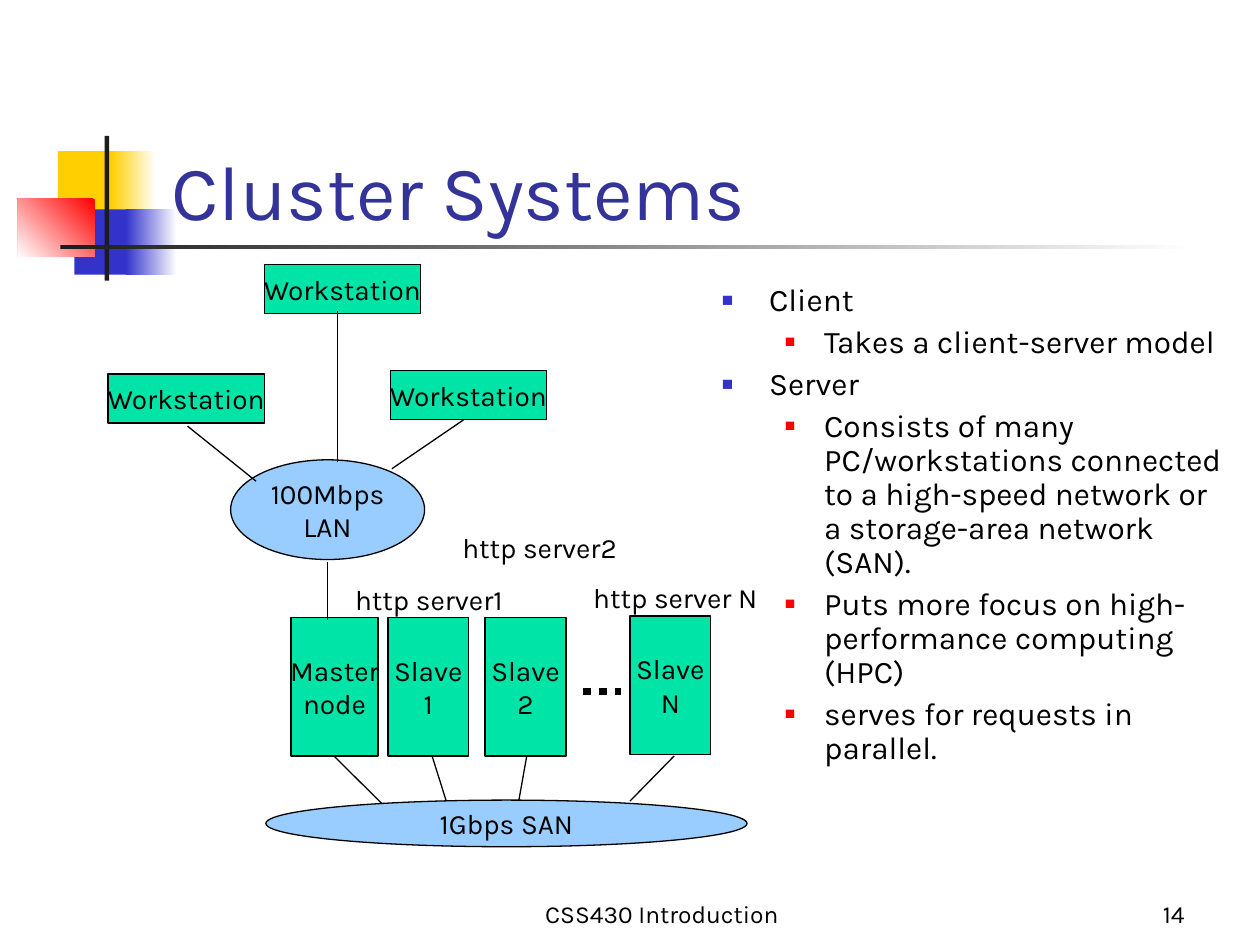
from dataclasses import dataclass
from typing import NamedTuple, Optional

from lxml import etree
from pptx import Presentation
from pptx.dml.color import RGBColor
from pptx.enum import dml, shapes, text
from pptx.oxml import ns
from pptx.util import Cm, Pt


@dataclass(frozen=True)
class Theme:
    font: str = "Karla"
    ink: str = "000000"
    white: str = "FFFFFF"
    title: str = "333399"
    yellow: str = "FFCF01"
    blue: str = "3333CC"
    red: str = "FF0000"
    bar: str = "1C1C1C"
    machine: str = "00E4A8"
    network: str = "99CCFF"
    title_size: float = 44
    body_size: float = 18
    label_size: float = 16
    footer_size: float = 14
    line_width: float = 0.75
    dot_width: float = 4.5


THEME = Theme()


class Area(NamedTuple):
    left: float
    top: float
    width: float
    height: float


class Ornament(NamedTuple):
    area: Area
    start: str
    end: Optional[str] = None
    angle: float = 0


class Node(NamedTuple):
    area: Area
    words: str
    color: str = THEME.machine
    kind: shapes.MSO_SHAPE = shapes.MSO_SHAPE.RECTANGLE


class Link(NamedTuple):
    x1: float
    y1: float
    x2: float
    y2: float


class Label(NamedTuple):
    area: Area
    words: str
    align: text.PP_ALIGN = text.PP_ALIGN.LEFT
    footer: bool = False


class Level(NamedTuple):
    indent: float
    hanging: float
    color: str
    percent: int


ORNAMENTS = [
    Ornament(Area(1.17, 3.05, 1.22, 1.32), THEME.yellow),
    Ornament(Area(2.24, 3.05, 0.91, 1.32), THEME.yellow, THEME.white),
    Ornament(Area(1.5, 4.22, 1.17, 1.32), THEME.blue),
    Ornament(Area(2.54, 4.22, 1.02, 1.32), THEME.blue, THEME.white),
    Ornament(Area(0.36, 4.01, 1.55, 1.17), THEME.red, THEME.white, 225),
    Ornament(Area(2.11, 2.74, 0.09, 2.92), THEME.bar),
    Ornament(Area(1.22, 4.94, 22.86, 0.09), THEME.bar, THEME.white),
]

NODE_TOP, NODE_HEIGHT = 12.45, 2.79
NODE_BOTTOM = NODE_TOP + NODE_HEIGHT
SLAVES = [("1", 7.82, NODE_TOP), ("2", 9.78, NODE_TOP), ("N", 12.7, 12.42)]
WORKSTATIONS = [(5.33, 5.33), (2.18, 7.54), (7.87, 7.47)]
OVAL = shapes.MSO_SHAPE.OVAL

NODES = [
    Node(Area(4.65, 9.27, 3.91, 2.01), "100Mbps\nLAN", THEME.network, OVAL),
    Node(Area(5.36, 16.13, 9.7, 0.94), "1Gbps SAN", THEME.network, OVAL),
    *[Node(Area(x, y, 3.15, 0.99), "Workstation") for x, y in WORKSTATIONS],
    Node(Area(5.87, NODE_TOP, 1.75, NODE_HEIGHT), "Master\nnode"),
    *[Node(Area(x, y, 1.63, NODE_HEIGHT), f"Slave\n{name}") for name, x, y in SLAVES],
]

LINKS = [
    Link(6.81, 6.27, 6.81, 9.32),
    Link(3.78, 8.59, 5.16, 9.7),
    Link(9.35, 8.46, 7.9, 9.45),
    Link(6.6, 11.33, 6.6, 12.5),
    Link(6.73, NODE_BOTTOM, 7.7, 16.2),
    Link(8.71, NODE_BOTTOM, 8.99, 16.13),
    Link(10.62, NODE_BOTTOM, 10.46, 16.13),
    Link(13.59, NODE_BOTTOM, 12.7, 16.15),
]
ELLIPSIS = Link(11.76, 13.94, 12.52, 13.94)

LABELS = [
    Label(Area(6.91, 11.61, 3.73, 0.94), "http server1"),
    Label(Area(9.07, 10.57, 3.73, 0.94), "http server2"),
    Label(Area(11.71, 11.58, 3.99, 0.94), "http server N"),
    Label(Area(9.32, 17.58, 8.05, 1.27), "CSS430 Introduction", text.PP_ALIGN.CENTER, True),
    Label(Area(18.85, 17.58, 5.28, 1.27), "14", text.PP_ALIGN.RIGHT, True),
]

LEVELS = [Level(0.95, 0.95, THEME.blue, 60), Level(2.06, 0.79, THEME.red, 55)]
POINTS = [
    (0, "Client"),
    (1, "Takes a client-server model"),
    (0, "Server"),
    (1, "Consists of many PC/workstations connected to a high-speed network "
        "or a storage-area network (SAN)."),
    (1, "Puts more focus on high-performance computing (HPC)"),
    (1, "serves for requests in parallel."),
]


def rgb(color: str) -> RGBColor:
    return RGBColor.from_string(color)


def lengths(area: Area) -> list:
    return [Cm(value) for value in area]


def place(box, area: Area) -> None:
    box.left, box.top, box.width, box.height = lengths(area)
    box.element.getparent().append(box.element)


def style(para, size: float, align: text.PP_ALIGN, color: str = THEME.ink) -> None:
    para.alignment = align
    para.font.name = THEME.font
    para.font.size = Pt(size)
    para.font.color.rgb = rgb(color)


def draw_ornament(page, ornament: Ornament) -> None:
    box = page.shapes.add_shape(shapes.MSO_SHAPE.RECTANGLE, *lengths(ornament.area))
    box.shadow.inherit = False
    box.line.fill.background()
    if ornament.end is None:
        box.fill.solid()
        box.fill.fore_color.rgb = rgb(ornament.start)
        return
    box.fill.gradient()
    box.fill.gradient_angle = ornament.angle
    for stop, color in zip(box.fill.gradient_stops, (ornament.start, ornament.end)):
        stop.color.rgb = rgb(color)
    box.fill.gradient_stops[0].position = 0
    box.fill.gradient_stops[1].position = 1


def draw_node(page, node: Node) -> None:
    box = page.shapes.add_shape(node.kind, *lengths(node.area))
    box.shadow.inherit = False
    box.fill.solid()
    box.fill.fore_color.rgb = rgb(node.color)
    box.line.color.rgb = rgb(THEME.ink)
    box.line.width = Pt(THEME.line_width)
    frame = box.text_frame
    frame.text = node.words
    frame.word_wrap = False
    frame.vertical_anchor = text.MSO_ANCHOR.MIDDLE
    for para in frame.paragraphs:
        style(para, THEME.label_size, text.PP_ALIGN.CENTER)


def draw_link(page, link: Link, width: float = THEME.line_width):
    line = page.shapes.add_connector(
        shapes.MSO_CONNECTOR.STRAIGHT, *[Cm(value) for value in link])
    line.line.color.rgb = rgb(THEME.ink)
    line.line.width = Pt(width)
    etree.SubElement(line.element.spPr, ns.qn("a:effectLst"))
    return line


def draw_label(page, label: Label) -> None:
    frame = page.shapes.add_textbox(*lengths(label.area)).text_frame
    frame.text = label.words
    frame.word_wrap = label.footer
    if label.footer:
        frame.vertical_anchor = text.MSO_ANCHOR.BOTTOM
    else:
        frame.auto_size = text.MSO_AUTO_SIZE.SHAPE_TO_FIT_TEXT
    size = THEME.footer_size if label.footer else THEME.label_size
    style(frame.paragraphs[0], size, label.align)


def add_bullet(para, level: Level) -> None:
    props = para._p.get_or_add_pPr()
    props.set("marL", str(Cm(level.indent)))
    props.set("indent", str(-Cm(level.hanging)))
    color = etree.SubElement(props, ns.qn("a:buClr"))
    etree.SubElement(color, ns.qn("a:srgbClr"), val=level.color)
    etree.SubElement(props, ns.qn("a:buSzPct"), val=str(level.percent * 1000))
    etree.SubElement(props, ns.qn("a:buChar"), char="■")


def fill_title(title) -> None:
    place(title, Area(3.2, 1.7, 21.64, 3.18))
    frame = title.text_frame
    frame.text = "Cluster Systems"
    frame.auto_size = text.MSO_AUTO_SIZE.NONE
    frame.vertical_anchor = text.MSO_ANCHOR.BOTTOM
    style(frame.paragraphs[0], THEME.title_size, text.PP_ALIGN.LEFT, THEME.title)


def fill_body(body) -> None:
    place(body, Area(14.3, 5.61, 10.59, 11.43))
    frame = body.text_frame
    frame.text = "\n".join(words for _, words in POINTS)
    frame.auto_size = text.MSO_AUTO_SIZE.NONE
    for para, (depth, _) in zip(frame.paragraphs, POINTS):
        para.level = depth
        add_bullet(para, LEVELS[depth])
        para.line_spacing = 0.9
        para.space_before = Pt(4.5)
        style(para, THEME.body_size, text.PP_ALIGN.LEFT)


def main() -> None:
    deck = Presentation()
    deck.slide_width, deck.slide_height = Cm(25.4), Cm(19.05)
    page = deck.slides.add_slide(deck.slide_layouts[1])
    for ornament in ORNAMENTS:
        draw_ornament(page, ornament)
    fill_title(page.shapes.title)
    fill_body(page.placeholders[1])
    for node in NODES:
        draw_node(page, node)
    for link in LINKS:
        draw_link(page, link)
    dots = draw_link(page, ELLIPSIS, THEME.dot_width)
    dots.line.dash_style = dml.MSO_LINE.ROUND_DOT
    for label in LABELS:
        draw_label(page, label)
    deck.save("out.pptx")


if __name__ == "__main__":
    main()
